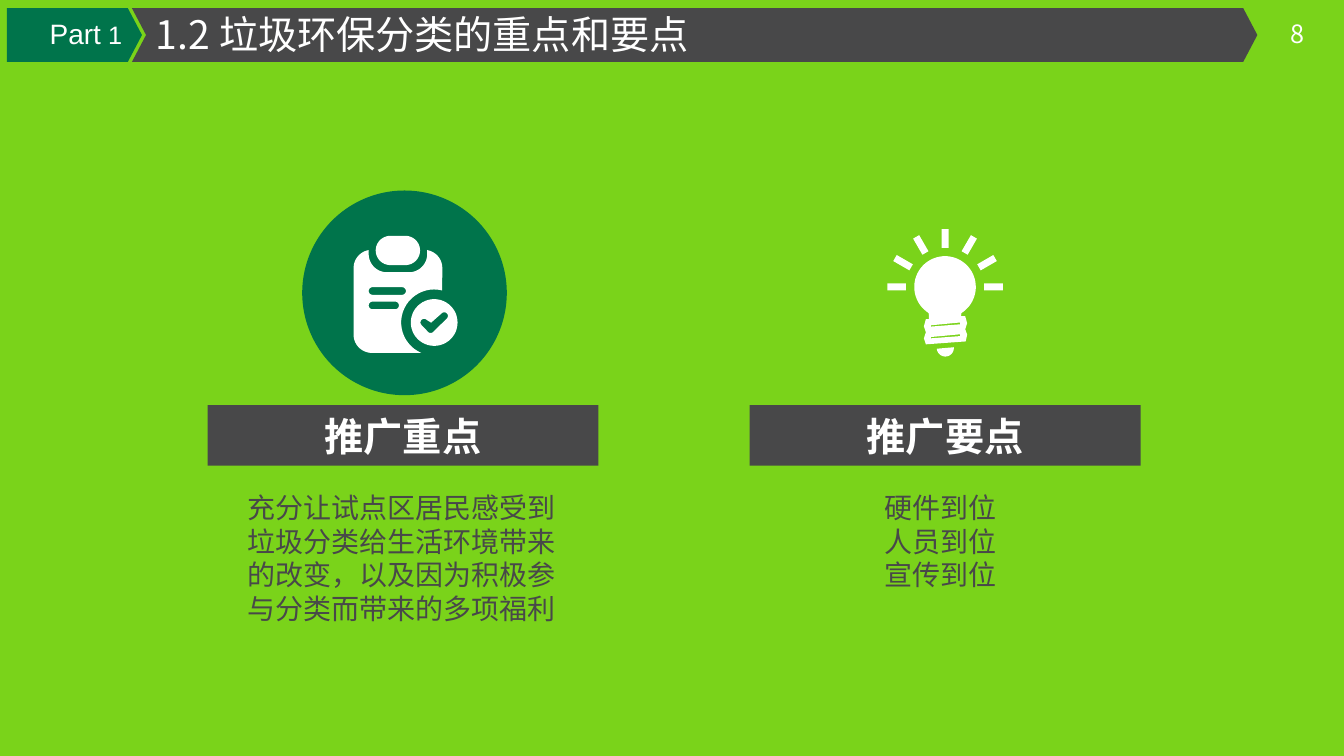
"""Builds the slide on the key points of waste sorting."""
import math

from lxml import etree
from pptx import Presentation
from pptx import util as u
from pptx.dml.color import RGBColor
from pptx.enum import shapes, text
from pptx.oxml import ns

LIME = RGBColor(0x7A, 0xD3, 0x1A)
GREEN = RGBColor(0x00, 0x74, 0x4B)
GRAY = RGBColor(0x48, 0x48, 0x49)
WHITE = RGBColor(0xFF, 0xFF, 0xFF)
CHINESE = "Noto Sans CJK SC"
LATIN = "Arial"
LEFT, CENTER, RIGHT = text.PP_ALIGN.LEFT, text.PP_ALIGN.CENTER, text.PP_ALIGN.RIGHT


def add_run(paragraph, content, size=20, color=WHITE, font=CHINESE, bold=False):
    """Add one formatted run to a paragraph."""
    run = paragraph.add_run()
    run.text = content
    run.font.size = u.Pt(size)
    run.font.name = font
    run.font.bold = bold
    run.font.color.rgb = color
    east_asian = etree.SubElement(run.font._element, ns.qn("a:ea"))
    east_asian.set("typeface", font)


def arc(x, y, radius, start, end, steps=24):
    """Return points on an arc, with angles in degrees clockwise from the right."""
    angles = [math.radians(start + (end - start) * i / steps) for i in range(steps + 1)]
    return [(x + radius * math.cos(a), y + radius * math.sin(a)) for a in angles]


def capsule(x, y, width, height):
    """Return a bar with fully rounded ends."""
    radius = height / 2
    return (arc(x + radius, y + radius, radius, 90, 270)
            + arc(x + width - radius, y + radius, radius, -90, 90))


def ray(angle, inner=28, outer=41.3, half=2.5):
    """Return a small bar pointing outwards from the bulb."""
    cos, sin = math.cos(math.radians(angle)), math.sin(math.radians(angle))
    corners = [(inner, -half), (outer, -half), (outer, half), (inner, half)]
    return [(r * cos - t * sin, r * sin + t * cos) for r, t in corners]


def bulb_contours():
    """Return the bulb outlines around the centre of its glass."""
    socket = [(11.5, 20.9), (14.4, 20.9), (15.8, 25.9), (14.4, 30.2), (15.8, 34),
              (14.8, 38.9), (-13.7, 41), (-15.1, 36.7), (-13.7, 32.4),
              (-15.1, 28.1), (-13.7, 23), (-11.5, 23)]
    groove = [(10.8, 25.4), (-10.1, 27.4), (-10.1, 28.3), (10.8, 26.7)]
    grooves = [[(x, y + shift) for x, y in groove] for shift in (0, 8.4)]
    rays = [ray(angle) for angle in range(180, 361, 30)]
    return rays + [arc(0, 0, 22, 122, 418, 60) + socket, arc(0.2, 43.6, 6.1, -5, 175)] + grooves


def clipboard_contours():
    """Return the clipboard outlines from its top left corner."""
    badge = (57.6, 61.9)
    board = ([(52.6, 10.1)] + arc(39.6, 13, 13, 0, 90) + arc(23.8, 13, 13, 90, 180)
             + arc(13, 23, 13, 260, 180) + arc(13, 70.6, 13, 180, 90)
             + arc(*badge, 23.6, 113, 284) + arc(50.4, 23, 13, 0, -80))
    check = (arc(50.4, 61.9, 2.6, 135, 315) + [(55.4, 62)]
             + arc(64.8, 57.2, 2.6, 225, 405) + arc(55.1, 66.8, 2.6, 45, 135))
    return [capsule(15.8, 0, 31.7, 20.9), board, capsule(10.8, 36.7, 26.6, 5.4),
            capsule(10.8, 47, 21.6, 5.4), arc(*badge, 16.7, 0, 360, 48), check]


class SlideBuilder:
    """Holds the style and the current slide."""

    def __init__(self, slide, background):
        """Set the slide and its background colour."""
        self.slide = slide
        slide.background.fill.solid()
        slide.background.fill.fore_color.rgb = background

    def paint(self, shape, color):
        """Give a shape a flat fill without line or shadow."""
        shape.shadow.inherit = False
        shape.fill.solid()
        shape.fill.fore_color.rgb = color
        shape.line.fill.background()
        return shape

    def preset(self, kind, x, y, width, height, color):
        """Add a filled preset shape."""
        box = map(u.Pt, (x, y, width, height))
        return self.paint(self.slide.shapes.add_shape(kind, *box), color)

    def outline(self, contours, color, x=0, y=0):
        """Add one freeform made of closed contours."""
        placed = [[(u.Pt(x + px), u.Pt(y + py)) for px, py in points] for points in contours]
        builder = self.slide.shapes.build_freeform(*placed[0][0], scale=1.0)
        for number, points in enumerate(placed):
            if number:
                builder.move_to(*points[0])
            builder.add_line_segments(points[1:], close=True)
        return self.paint(builder.convert_to_shape(), color)

    def fill_text(self, frame, lines, align=CENTER, wrap=True, **style):
        """Fill a text frame with one paragraph per line."""
        frame.word_wrap = wrap
        frame.auto_size = text.MSO_AUTO_SIZE.SHAPE_TO_FIT_TEXT
        for number, line in enumerate(lines):
            paragraph = frame.add_paragraph() if number else frame.paragraphs[0]
            paragraph.alignment = align
            add_run(paragraph, line, **style)
        return frame.paragraphs[0]

    def text_box(self, x, y, width, height, lines, **style):
        """Add a text box and return its first paragraph."""
        box = self.slide.shapes.add_textbox(*map(u.Pt, (x, y, width, height)))
        return self.fill_text(box.text_frame, lines, **style)

    def heading_bar(self, x, title):
        """Add a dark bar with a bold heading."""
        bar = self.preset(shapes.MSO_SHAPE.RECTANGLE, x, 289.4, 279.4, 43.2, GRAY)
        bar.text_frame.vertical_anchor = text.MSO_ANCHOR.MIDDLE
        self.fill_text(bar.text_frame, [title], size=28, bold=True)


def main():
    """Build and save the slide."""
    presentation = Presentation()
    presentation.slide_width, presentation.slide_height = u.Pt(960.5), u.Pt(540)
    builder = SlideBuilder(presentation.slides.add_slide(presentation.slide_layouts[6]), LIME)

    top, middle, bottom = 5.8, 25, 44.2
    builder.text_box(907.9, 9.4, 38.9, 28.8, ["8"], wrap=False, size=18)
    builder.outline([[(94.3, top), (888.5, top), (898.6, middle), (888.5, bottom),
                      (94.3, bottom), (104.4, middle)]], GRAY)
    builder.outline([[(5, top), (91.4, top), (101.5, middle), (91.4, bottom),
                      (5, bottom)]], GREEN)
    builder.text_box(104.4, 3.6, 419.8, 43.2, ["1.2 垃圾环保分类的重点和要点"],
                     align=LEFT, size=28)
    part = builder.text_box(10.8, 8.6, 83.5, 31.7, ["Part"], align=RIGHT, font=LATIN)
    add_run(part, " 1", size=18, font=LATIN)

    builder.preset(shapes.MSO_SHAPE.OVAL, 216, 136.1, 146.2, 146.2, GREEN)
    builder.outline(bulb_contours(), WHITE, 675.4, 205)
    builder.outline(clipboard_contours(), WHITE, 252.7, 168.5)

    columns = [
        ("推广重点", 166.3, 241.2, 105.1,
         ["充分让试点区居民感受到垃圾分类给生活环境带来的改变，以及因为积极参与分类而带来的多项福利"]),
        ("推广要点", 547.9, 248.4, 80.6, ["硬件到位", "人员到位", "宣传到位"]),
    ]
    for number, (title, x, width, height, lines) in enumerate(columns):
        builder.heading_bar(148.3 + 387.4 * number, title)
        builder.text_box(x, 347, width, height, lines, color=GRAY)

    presentation.save("out.pptx")


if __name__ == "__main__":
    main()
